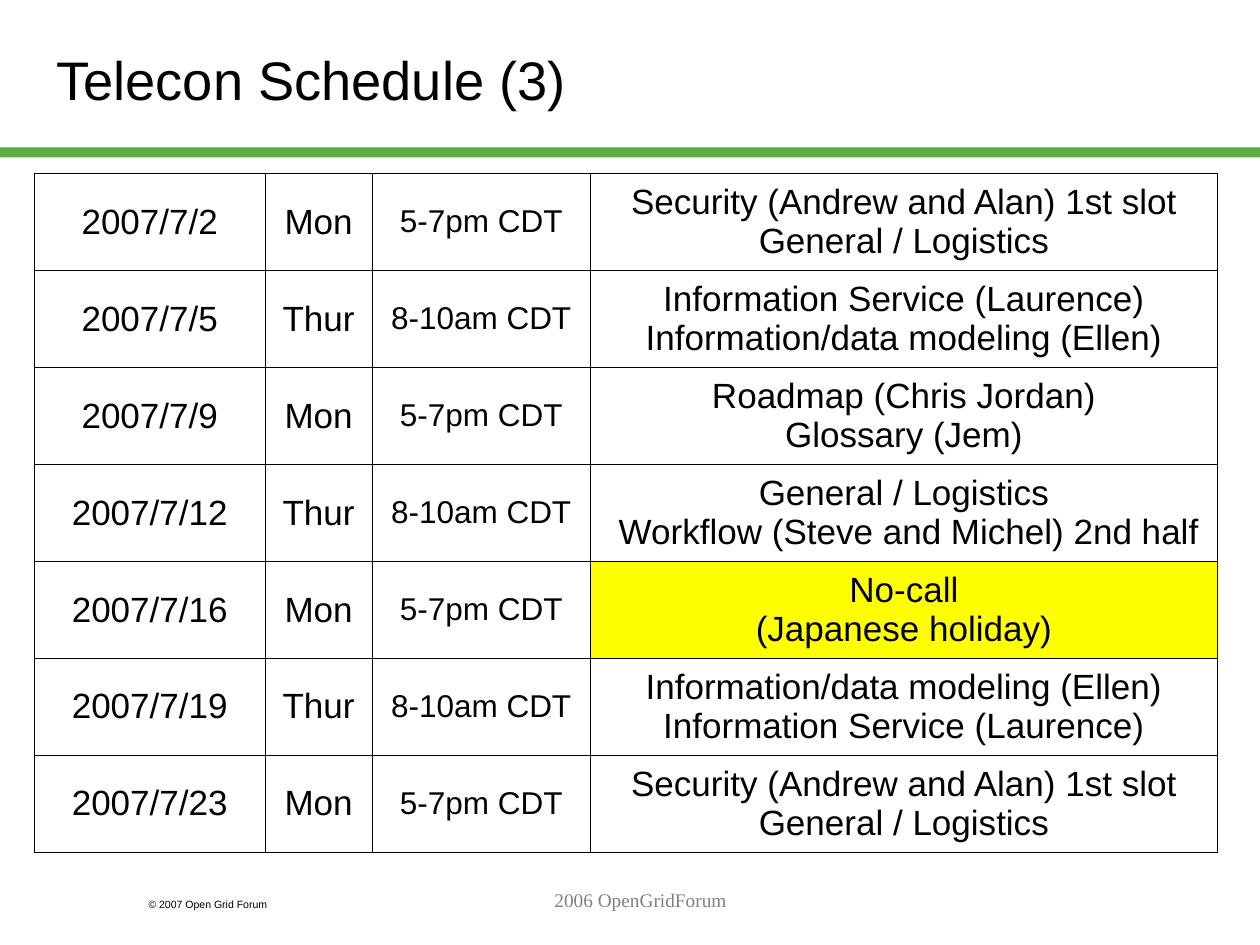
from lxml import etree
from pptx import Presentation
from pptx.dml.color import RGBColor
from pptx.enum.shapes import MSO_SHAPE
from pptx.enum.text import MSO_ANCHOR, PP_ALIGN
from pptx.oxml import parse_xml
from pptx.oxml.ns import nsdecls
from pptx.util import Pt

BLACK = RGBColor(0x00, 0x00, 0x00)
WHITE = RGBColor(0xFF, 0xFF, 0xFF)
GREEN = RGBColor(0x5D, 0xAD, 0x41)
YELLOW = RGBColor(0xFF, 0xFF, 0x00)
GRAY = RGBColor(0x80, 0x80, 0x80)

MONDAY = ("Mon", "5-7pm CDT")
THURSDAY = ("Thur", "8-10am CDT")
SECURITY = ["Security (Andrew and Alan) 1st slot", "General / Logistics"]
SERVICE = "Information Service (Laurence)"
MODELING = "Information/data modeling (Ellen)"
HOLIDAY = ["No-call", "(Japanese holiday)"]
CALLS = [
    ("2007/7/2", MONDAY, SECURITY),
    ("2007/7/5", THURSDAY, [SERVICE, MODELING]),
    ("2007/7/9", MONDAY, ["Roadmap (Chris Jordan)", "Glossary (Jem)"]),
    ("2007/7/12", THURSDAY,
     ["General / Logistics", " Workflow (Steve and Michel) 2nd half"]),
    ("2007/7/16", MONDAY, HOLIDAY),
    ("2007/7/19", THURSDAY, [MODELING, SERVICE]),
    ("2007/7/23", MONDAY, SECURITY),
]
COLUMN_WIDTHS = [131.8, 61.2, 124.6, 358.6]
COLUMN_SIZES = [20, 20, 18, 20]
ROW_HEIGHT = 55.43
HANGING = Pt(27)

presentation = Presentation()
presentation.slide_width = Pt(720)
presentation.slide_height = Pt(540)
slide = presentation.slides.add_slide(presentation.slide_layouts[6])


def add_run(paragraph, text, size, color=BLACK, font_name="Arial"):
    run = paragraph.add_run()
    run.text = text
    run.font.size = Pt(size)
    run.font.name = font_name
    run.font.color.rgb = color


def add_borders(cell):
    """Draw a thin black line on all four sides; call before setting the fill."""
    properties = cell._tc.get_or_add_tcPr()
    for side in "LRTB":
        line = parse_xml(f'<a:ln{side} {nsdecls("a")} w="{Pt(0.45)}"/>')
        fill = etree.SubElement(line, line.tag.replace(f"ln{side}", "solidFill"))
        etree.SubElement(fill, fill.tag.replace("solidFill", "srgbClr"), val=str(BLACK))
        properties.append(line)


rule = slide.shapes.add_shape(MSO_SHAPE.RECTANGLE, Pt(0), Pt(84.2), Pt(720), Pt(5.8))
rule.shadow.inherit = False
rule.fill.solid()
rule.fill.fore_color.rgb = GREEN
rule.line.fill.background()

copyright_notice = slide.shapes.add_textbox(Pt(77.8), Pt(509.8), Pt(108), Pt(14.4)).text_frame
copyright_notice.word_wrap = True
add_run(copyright_notice.paragraphs[0], "© 2007 Open Grid Forum", 6)

title = slide.shapes.add_textbox(Pt(25.2), Pt(12.2), Pt(640.8), Pt(65.5)).text_frame
title.word_wrap = True
title.vertical_anchor = MSO_ANCHOR.MIDDLE
add_run(title.paragraphs[0], "Telecon Schedule (3)", 31)

schedule = slide.shapes.add_table(
    len(CALLS), len(COLUMN_WIDTHS), Pt(19.7), Pt(99.1),
    Pt(sum(COLUMN_WIDTHS)), Pt(ROW_HEIGHT * len(CALLS))).table
schedule.first_row = False
schedule.horz_banding = False
for column, width in zip(schedule.columns, COLUMN_WIDTHS):
    column.width = Pt(width)

for row, (date, (day, time), topics) in zip(schedule.rows, CALLS):
    row.height = Pt(ROW_HEIGHT)
    contents = [[date], [day], [time], topics]
    for cell, lines, size in zip(row.cells, contents, COLUMN_SIZES):
        add_borders(cell)
        cell.fill.solid()
        cell.fill.fore_color.rgb = YELLOW if lines is HOLIDAY else WHITE
        cell.vertical_anchor = MSO_ANCHOR.MIDDLE
        for index, line in enumerate(lines):
            frame = cell.text_frame
            paragraph = frame.add_paragraph() if index else frame.paragraphs[0]
            paragraph.alignment = PP_ALIGN.CENTER
            indents = paragraph._p.get_or_add_pPr()
            indents.set("marL", str(HANGING))
            indents.set("indent", str(-HANGING))
            add_run(paragraph, line, size)

footer = slide.shapes.add_textbox(Pt(156), Pt(504), Pt(420), Pt(36)).text_frame
footer.word_wrap = True
footer.paragraphs[0].alignment = PP_ALIGN.CENTER
add_run(footer.paragraphs[0], "2006 OpenGridForum", 11, GRAY, "Times New Roman")

presentation.save("out.pptx")
